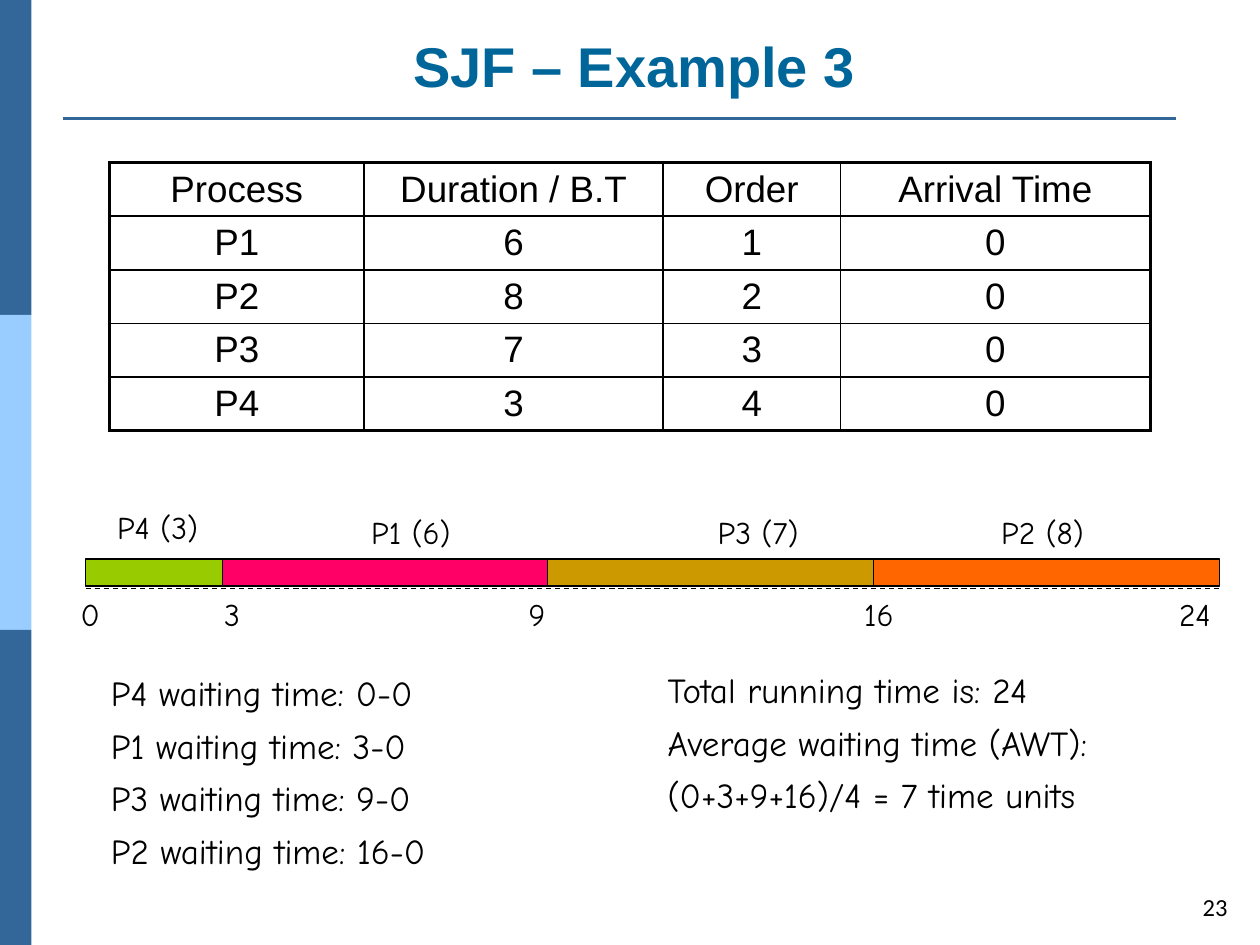
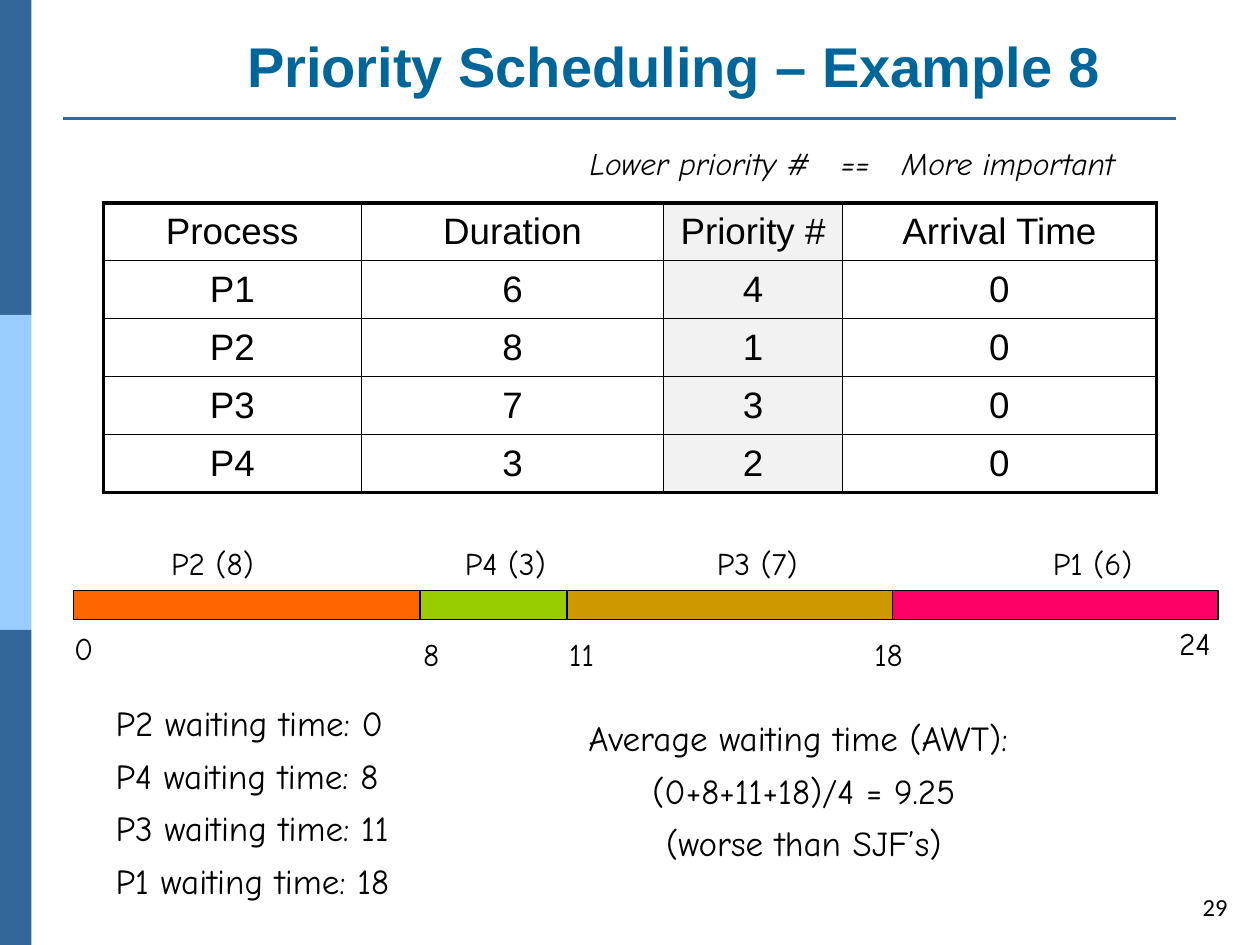
from dataclasses import dataclass
from itertools import pairwise

from lxml.etree import SubElement
from pptx import Presentation
from pptx.dml.color import RGBColor
from pptx.enum.dml import MSO_LINE
from pptx.enum.shapes import MSO_CONNECTOR, MSO_SHAPE
from pptx.enum.text import MSO_ANCHOR, MSO_AUTO_SIZE, PP_ALIGN
from pptx.oxml.ns import qn
from pptx.util import Pt


@dataclass(frozen=True)
class Theme:
    ink: str = "000000"
    title: str = "006699"
    band_dark: str = "336699"
    band_light: str = "99CCFF"
    highlight: str = "F2F2F2"
    heading_font: str = "Arial"
    note_font: str = "Comic Neue"
    number_font: str = "Calibri"
    title_size: float = 32
    table_size: float = 21
    note_size: float = 20
    label_size: float = 18
    number_size: float = 14
    outer_border: float = 2.25
    inner_border: float = 1
    thin_line: float = 0.75
    rule_line: float = 1.5


PROCESS_COLORS = {"P1": "FF0066", "P2": "FF6600", "P3": "CC9900", "P4": "99CC00"}


class Deck:
    def __init__(self, theme):
        self.theme = theme
        self.prs = Presentation()
        self.prs.slide_width, self.prs.slide_height = Pt(720), Pt(540)
        self.s = None

    def new_slide(self, title, left, width, number):
        t = self.theme
        self.s = self.prs.slides.add_slide(self.prs.slide_layouts[5])
        for i, color in enumerate((t.band_dark, t.band_light, t.band_dark)):
            self.rect(0, i * 180, 18, 180, color)
        self.line(36, 672, 67.7, t.band_dark, t.rule_line)
        sp = self.s.shapes.title
        sp.left, sp.top, sp.width, sp.height = Pt(left), Pt(6), Pt(width), Pt(54)
        tf = sp.text_frame
        tf.text = title
        tf.auto_size = MSO_AUTO_SIZE.NONE
        tf.vertical_anchor = MSO_ANCHOR.BOTTOM
        self.format(tf.paragraphs[0], t.heading_font, t.title_size, t.title, bold=True)
        tf.paragraphs[0].alignment = PP_ALIGN.CENTER
        tf = self.text(number, 676, 503.3, 32.5, 29.5, t.number_size,
                       font=t.number_font, align=PP_ALIGN.RIGHT, wrap=True)
        tf.vertical_anchor = MSO_ANCHOR.MIDDLE

    def format(self, p, font, size, color, bold=False, italic=False):
        for r in p.runs:
            r.font.name, r.font.size = font, Pt(size)
            r.font.bold, r.font.italic = bold, italic
            r.font.color.rgb = RGBColor.from_string(color)

    def rect(self, left, top, width, height, color, outlined=False):
        sp = self.s.shapes.add_shape(
            MSO_SHAPE.RECTANGLE, Pt(left), Pt(top), Pt(width), Pt(height))
        sp.shadow.inherit = False
        sp.fill.solid()
        sp.fill.fore_color.rgb = RGBColor.from_string(color)
        if outlined:
            sp.line.color.rgb = RGBColor.from_string(self.theme.ink)
            sp.line.width = Pt(self.theme.thin_line)
        else:
            sp.line.fill.background()

    def line(self, x1, x2, y, color, width, dash=None):
        cx = self.s.shapes.add_connector(
            MSO_CONNECTOR.STRAIGHT, Pt(x1), Pt(y), Pt(x2), Pt(y))
        cx.line.color.rgb = RGBColor.from_string(color)
        cx.line.width = Pt(width)
        if dash:
            cx.line.dash_style = dash
        SubElement(cx.element.spPr, qn("a:effectLst"))

    def text(self, content, left, top, width, height, size, font=None,
             align=PP_ALIGN.LEFT, wrap=False, italic=False, tabs=()):
        sp = self.s.shapes.add_textbox(Pt(left), Pt(top), Pt(width), Pt(height))
        tf = sp.text_frame
        tf.text = content
        tf.word_wrap = wrap
        tf.auto_size = MSO_AUTO_SIZE.NONE if wrap else MSO_AUTO_SIZE.SHAPE_TO_FIT_TEXT
        for i, p in enumerate(tf.paragraphs):
            p.alignment = align
            if i:
                p.space_before = Pt(6)
            if tabs:
                stops = SubElement(p._p.get_or_add_pPr(), qn("a:tabLst"))
                for pos in tabs:
                    SubElement(stops, qn("a:tab"), pos=str(Pt(pos)), algn="l")
            self.format(p, font or self.theme.note_font, size, self.theme.ink, italic=italic)
        return tf

    def notes(self, lines, left, top, width, align=PP_ALIGN.LEFT):
        self.text("\n".join(lines), left, top, width, 30.2 * len(lines) + 1.5,
                  self.theme.note_size, align=align)

    def border(self, cell, side, width):
        ln = SubElement(cell._tc.get_or_add_tcPr(), qn(f"a:ln{side}"), w=str(Pt(width)))
        fill = SubElement(ln, qn("a:solidFill"))
        SubElement(fill, qn("a:srgbClr"), val=self.theme.ink)

    def table(self, rows, left, top, col_widths, row_height, shaded_col=None):
        t = self.theme
        last_row, last_col = len(rows) - 1, len(col_widths) - 1
        tbl = self.s.shapes.add_table(
            len(rows), len(col_widths), Pt(left), Pt(top),
            Pt(sum(col_widths)), Pt(row_height * len(rows))).table
        tbl.first_row = tbl.horz_banding = False
        for col, width in zip(tbl.columns, col_widths):
            col.width = Pt(width)
        for i, row in enumerate(rows):
            tbl.rows[i].height = Pt(row_height)
            for j, value in enumerate(row):
                cell = tbl.cell(i, j)
                cell.text = value
                cell.margin_top = cell.margin_bottom = Pt(3)
                cell.vertical_anchor = MSO_ANCHOR.MIDDLE
                p = cell.text_frame.paragraphs[0]
                p.alignment = PP_ALIGN.CENTER
                self.format(p, t.heading_font, t.table_size, t.ink)
                edges = {"L": j == 0, "R": j == last_col, "T": i == 0, "B": i == last_row}
                for side, outer in edges.items():
                    self.border(cell, side, t.outer_border if outer else t.inner_border)
                if j == shaded_col:
                    cell.fill.solid()
                    cell.fill.fore_color.rgb = RGBColor.from_string(t.highlight)
                else:
                    cell.fill.background()

    def gantt(self, top, height, bounds, labels, ticks):
        size = self.theme.label_size
        for (start, end), (label, left, label_top) in zip(pairwise(bounds), labels):
            self.rect(start, top, end - start, height, PROCESS_COLORS[label[:2]], outlined=True)
            self.text(label, left, label_top, 64.5, 29, size)
        for tick, left, tick_top, width in ticks:
            self.text(tick, left, tick_top, width, 29, size)


def sjf_slide(deck):
    deck.new_slide("SJF – Example 3", 91.5, 542, "23")
    deck.table([("Process", "Duration / B.T", "Order", "Arrival Time"),
                ("P1", "6", "1", "0"),
                ("P2", "8", "2", "0"),
                ("P3", "7", "3", "0"),
                ("P4", "3", "4", "0")],
               62.6, 92.9, (145.4, 171, 101.2, 177.2), 30.65)
    deck.line(49, 697, 336.2, deck.theme.ink, deck.theme.thin_line, MSO_LINE.DASH)
    deck.gantt(319.5, 15.4, (49, 127, 313, 499, 697),
               [("P4 (3)", 59.8, 286.5), ("P1 (6)", 205, 289.6),
                ("P3 (7)", 403, 289.6), ("P2 (8)", 565, 289.6)],
               [("0", 39, 336.6, 26), ("3", 121, 336.6, 26), ("9", 295, 336.6, 26),
                ("16", 486.7, 336.6, 34.5), ("24", 666.7, 336.6, 36.5)])
    deck.notes(["P4 waiting time: 0-0", "P1 waiting time: 3-0",
                "P3 waiting time: 9-0", "P2 waiting time: 16-0"], 56.3, 380.3, 212.4)
    deck.notes(["Total running time is: 24", "Average waiting time (AWT):",
                "(0+3+9+16)/4 = 7 time units"], 374.4, 378.5, 288.7)


def priority_slide(deck):
    deck.new_slide("Priority Scheduling – Example 8", 64, 642.2, "29")
    deck.text("Lower priority #\t==\tMore important", 329.8, 78.5, 345, 29,
              deck.theme.label_size, wrap=True, italic=True, tabs=(143.6, 178.4))
    deck.table([("Process", "Duration", "Priority #", "Arrival Time"),
                ("P1", "6", "4", "0"),
                ("P2", "8", "1", "0"),
                ("P3", "7", "3", "0"),
                ("P4", "3", "2", "0")],
               59, 115.9, (147.5, 172.8, 102.2, 179.3), 33.1, shaded_col=2)
    deck.gantt(337.5, 16.6, (42, 240, 324, 510, 696),
               [("P2 (8)", 90.7, 307.4), ("P4 (3)", 258.5, 307.4),
                ("P3 (7)", 402.5, 307.4), ("P1 (6)", 594.5, 307.4)],
               [("0", 35.3, 355.7, 26), ("8", 234.7, 359.3, 26), ("11", 318.2, 359.3, 31),
                ("18", 492.5, 359.3, 34.5), ("24", 666.7, 352.8, 36.5)])
    deck.notes(["P2 waiting time: 0", "P4 waiting time: 8",
                "P3 waiting time: 11", "P1 waiting time: 18"], 59, 397.4, 188)
    deck.notes(["Average waiting time (AWT): ", "(0+8+11+18)/4 = 9.25",
                "(worse than SJF’s)"], 311.8, 406, 295.2, PP_ALIGN.CENTER)


def main():
    deck = Deck(Theme())
    sjf_slide(deck)
    priority_slide(deck)
    deck.prs.save("out.pptx")


if __name__ == "__main__":
    main()
